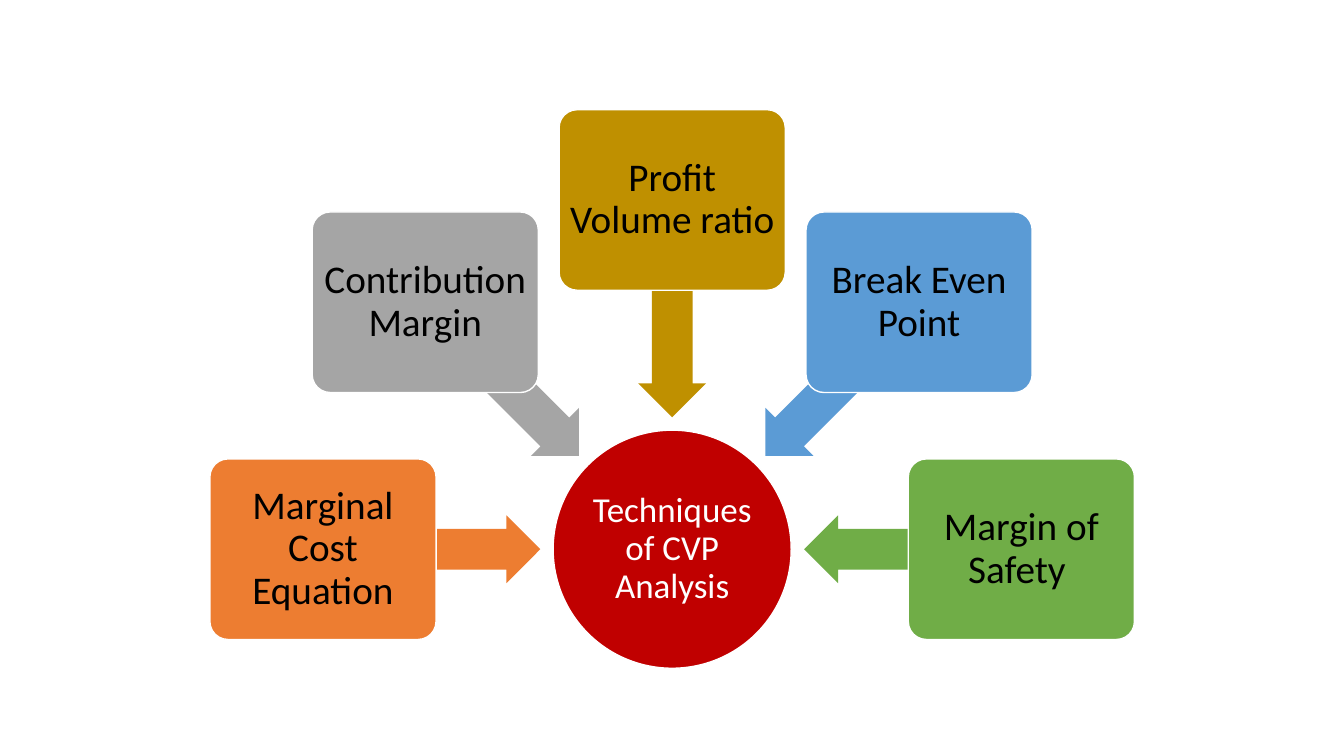
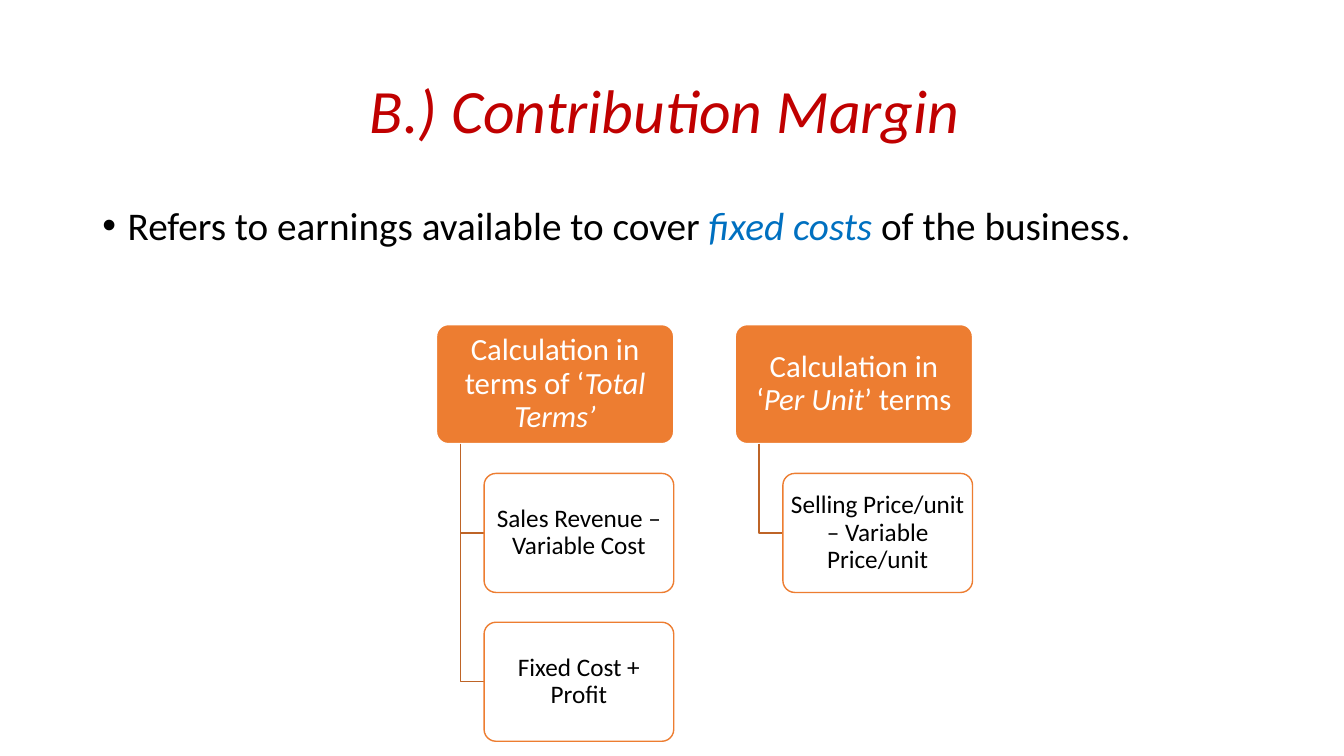
from math import cos, radians, sin

from lxml.etree import SubElement
from pptx import Presentation
from pptx.dml.color import RGBColor
from pptx.enum.shapes import MSO_SHAPE
from pptx.enum.text import MSO_ANCHOR, PP_ALIGN
from pptx.oxml.ns import qn
from pptx.util import Cm, Pt


class Theme:
    face = "Calibri"
    white = RGBColor.from_string("FFFFFF")
    black = RGBColor.from_string("000000")
    red = RGBColor.from_string("C00000")
    orange = RGBColor.from_string("ED7D31")
    gray = RGBColor.from_string("A5A5A5")
    gold = RGBColor.from_string("BF9000")
    sky = RGBColor.from_string("5B9BD5")
    green = RGBColor.from_string("70AD47")
    blue = RGBColor.from_string("0070C0")
    rust = RGBColor.from_string("BE6427")
    title = Pt(44)
    body = Pt(28)
    hub = Pt(25)
    head = Pt(22)
    leaf = Pt(18)
    rule = Pt(1)


def draw(slide, kind, left, top, width, height, fill, edge=None):
    shape = slide.shapes.add_shape(kind, Cm(left), Cm(top), Cm(width), Cm(height))
    shape.shadow.inherit = False
    shape.fill.solid()
    shape.fill.fore_color.rgb = fill
    if edge is None:
        shape.line.fill.background()
    else:
        shape.line.color.rgb = edge
        shape.line.width = Theme.rule
    if kind == MSO_SHAPE.ROUNDED_RECTANGLE:
        shape.adjustments[0] = 0.1
    return shape


def write(shape, runs, size, color, pad=(0.25, 0.13), align=PP_ALIGN.CENTER, anchor=MSO_ANCHOR.MIDDLE):
    frame = shape.text_frame
    form = {
        "word_wrap": True,
        "vertical_anchor": anchor,
        "margin_left": Cm(pad[0]),
        "margin_right": Cm(pad[0]),
        "margin_top": Cm(pad[1]),
        "margin_bottom": Cm(pad[1]),
    }
    for key, value in form.items():
        setattr(frame, key, value)
    para = frame.paragraphs[0]
    para.alignment = align
    para.line_spacing = 0.9
    for text, tint, slant in runs:
        run = para.add_run()
        run.text = text
        for key, value in {"name": Theme.face, "size": size, "italic": slant}.items():
            setattr(run.font, key, value)
        run.font.color.rgb = tint or color
    return para


deck = Presentation()
deck.slide_width = Cm(33.87)
deck.slide_height = Cm(19.05)
blank = deck.slide_layouts[6]

slide = deck.slides.add_slide(blank)
mid_x, mid_y = 16.94, 13.84
hub_d = 6
card_w, card_h, card_r = 5.7, 4.55, 8.8
arrow_w, arrow_h, arrow_r = 5.49, 1.71, 6.07

hub = draw(slide, MSO_SHAPE.OVAL, mid_x - hub_d / 2, mid_y - hub_d / 2, hub_d, hub_d, Theme.red, Theme.white)
write(hub, [("Techniques of CVP Analysis", None, False)], Theme.hub, Theme.white, (0.05, 0.05))

cards = [
    ("Marginal Cost Equation", Theme.orange),
    ("Contribution Margin", Theme.gray),
    ("Profit Volume ratio", Theme.gold),
    ("Break Even Point", Theme.sky),
    ("Margin of Safety ", Theme.green),
]
for index, (label, fill) in enumerate(cards):
    angle = 45 * index
    dx, dy = cos(radians(angle)), sin(radians(angle))
    arrow = draw(slide, MSO_SHAPE.LEFT_ARROW, mid_x - arrow_r * dx - arrow_w / 2,
                 mid_y - arrow_r * dy - arrow_h / 2, arrow_w, arrow_h, fill)
    arrow.adjustments[0] = 0.6
    arrow.adjustments[1] = 0.5
    arrow.rotation = (180 + angle) % 360
    card = draw(slide, MSO_SHAPE.ROUNDED_RECTANGLE, mid_x - card_r * dx - card_w / 2,
                mid_y - card_r * dy - card_h / 2, card_w, card_h, fill, Theme.white)
    write(card, [(label, None, False)], Theme.body, Theme.black, (0.13, 0.13))

slide = deck.slides.add_slide(blank)
title = slide.shapes.add_textbox(Cm(2.33), Cm(1.01), Cm(29.21), Cm(3.68))
write(title, [("B.) Contribution Margin ", None, True)], Theme.title, Theme.red)

body = slide.shapes.add_textbox(Cm(2.33), Cm(5.07), Cm(29.21), Cm(1.6))
para = write(body, [
    ("Refers to earnings available to cover ", None, False),
    ("fixed costs ", Theme.blue, True),
    ("of the business.", None, False),
], Theme.body, Theme.black, align=PP_ALIGN.JUSTIFY, anchor=MSO_ANCHOR.TOP)
props = para._p.get_or_add_pPr()
props.set("marL", str(Cm(0.64)))
props.set("indent", str(-Cm(0.64)))
SubElement(props, qn("a:buFont")).set("typeface", "Arial")
SubElement(props, qn("a:buChar")).set("char", "•")

tree_x, tree_y = 11, 8.18
col_gap, row_gap = 7.53, 3.75
head_w, box_h = 5.98, 3
stem, shift, leaf_w = 0.6, 1.2, 4.78
trees = [
    ([("Calculation in terms of ‘", None, False), ("Total Terms’", None, True)],
     ["Sales Revenue – Variable Cost", "Fixed Cost + Profit"]),
    ([("Calculation in ‘", None, False), ("Per Unit", None, True), ("’ terms", None, False)],
     ["Selling Price/unit – Variable Price/unit"]),
]
for col, (runs, leaves) in enumerate(trees):
    left = tree_x + col * col_gap
    head = draw(slide, MSO_SHAPE.ROUNDED_RECTANGLE, left, tree_y, head_w, box_h, Theme.orange, Theme.white)
    write(head, runs, Theme.head, Theme.white, (0.12, 0.08))
    for row, label in enumerate(leaves, 1):
        top = tree_y + row * row_gap
        bend = top + box_h / 2
        path = slide.shapes.build_freeform(Cm(left + stem), Cm(tree_y + box_h))
        path.add_line_segments([(Cm(left + stem), Cm(bend)), (Cm(left + shift), Cm(bend))], close=False)
        elbow = path.convert_to_shape()
        elbow.shadow.inherit = False
        elbow.fill.background()
        elbow.line.color.rgb = Theme.rust
        elbow.line.width = Theme.rule
        leaf = draw(slide, MSO_SHAPE.ROUNDED_RECTANGLE, left + shift, top, leaf_w, box_h, Theme.white, Theme.orange)
        write(leaf, [(label, None, False)], Theme.leaf, Theme.black, (0.09, 0.08))

deck.save("out.pptx")
